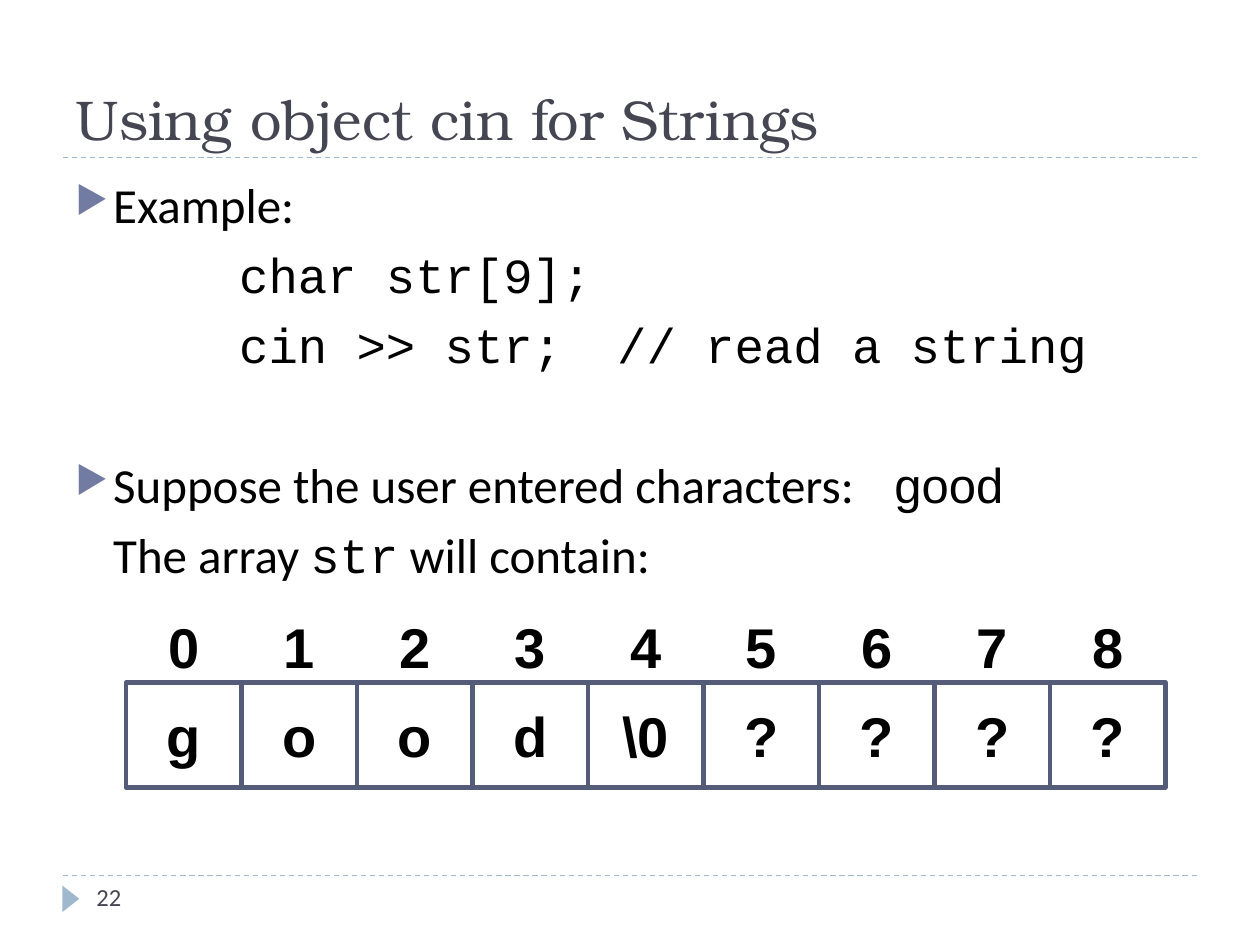
from lxml import etree
from pptx import Presentation
from pptx.dml.color import RGBColor
from pptx.enum.dml import MSO_LINE
from pptx.enum.shapes import MSO_CONNECTOR, MSO_SHAPE
from pptx.enum.text import MSO_ANCHOR, PP_ALIGN
from pptx.oxml.ns import qn
from pptx.util import Inches, Pt

DASH = MSO_LINE.DASH
STRAIGHT = MSO_CONNECTOR.STRAIGHT
RECTANGLE = MSO_SHAPE.RECTANGLE
TRIANGLE = MSO_SHAPE.ISOSCELES_TRIANGLE
TOP, MIDDLE, BOTTOM = MSO_ANCHOR.TOP, MSO_ANCHOR.MIDDLE, MSO_ANCHOR.BOTTOM
LEFT, CENTER = PP_ALIGN.LEFT, PP_ALIGN.CENTER

COLORS = {
    "text": "000000",
    "heading": "464653",
    "rule": "9FB8CD",
    "bullet": "727CA3",
    "cell": "545C79",
}
FORMATS = {
    "title": {"name": "TeX Gyre Bonum", "size": Pt(32), "color": "heading"},
    "body": {"name": "Calibri", "size": Pt(28), "color": "text"},
    "code": {"name": "Courier New", "size": Pt(28), "color": "text"},
    "input": {"name": "Arial", "size": Pt(28), "color": "text"},
    "array": {"name": "Arial", "size": Pt(32), "color": "text", "bold": True},
    "number": {"name": "Calibri", "size": Pt(14), "color": "heading"},
}
COLUMNS, ROWS = 120, 90
BODY_LINE, BODY_GAP = Pt(34), Pt(6)
BLANK_LINE_GAP = Pt(46)
TEXT_INDENT, CODE_INDENT = Inches(0.3), Inches(1.3)


class SlideBuilder:
    """Draw styled elements on a slide measured in grid columns and rows."""

    def __init__(self, presentation):
        self.column = presentation.slide_width / COLUMNS
        self.row = presentation.slide_height / ROWS
        self.slide = presentation.slides.add_slide(presentation.slide_layouts[6])

    def place(self, left, top, width, height):
        return (
            round(left * self.column),
            round(top * self.row),
            round(width * self.column),
            round(height * self.row),
        )

    def color(self, name):
        return RGBColor.from_string(COLORS[name])

    def add_text_run(self, paragraph, text, style):
        run = paragraph.add_run()
        run.text = text
        for attribute, value in FORMATS[style].items():
            if attribute == "color":
                run.font.color.rgb = self.color(value)
            else:
                setattr(run.font, attribute, value)

    def label(self, shape, text, style, anchor, align):
        frame = shape.text_frame
        frame.word_wrap = True
        frame.vertical_anchor = anchor
        paragraph = frame.paragraphs[0]
        paragraph.alignment = align
        self.add_text_run(paragraph, text, style)

    def text(self, box, text, style, anchor=TOP, align=LEFT):
        shape = self.slide.shapes.add_textbox(*self.place(*box))
        self.label(shape, text, style, anchor, align)

    def bullet(self, properties):
        color = etree.SubElement(properties, qn("a:buClr"))
        etree.SubElement(color, qn("a:srgbClr"), val=COLORS["bullet"])
        etree.SubElement(properties, qn("a:buSzPct"), val="76000")
        etree.SubElement(properties, qn("a:buChar"), char="▶")

    def body(self, box, lines):
        frame = self.slide.shapes.add_textbox(*self.place(*box)).text_frame
        frame.word_wrap = True
        for index, (indent, bulleted, gap, runs) in enumerate(lines):
            paragraph = frame.add_paragraph() if index else frame.paragraphs[0]
            paragraph.line_spacing = BODY_LINE
            paragraph.space_before = gap
            properties = paragraph._p.get_or_add_pPr()
            properties.set("marL", str(indent))
            properties.set("indent", str(-indent if bulleted else 0))
            if bulleted:
                self.bullet(properties)
            for text, style in runs:
                self.add_text_run(paragraph, text, style)

    def rule(self, left, right, row):
        start_x, y, end_x, _ = self.place(left, row, right, 0)
        line = self.slide.shapes.add_connector(STRAIGHT, start_x, y, end_x, y)
        line.line.color.rgb = self.color("rule")
        line.line.width = Pt(0.75)
        line.line.dash_style = DASH
        etree.SubElement(line._element.spPr, qn("a:effectLst"))

    def marker(self, box):
        shape = self.slide.shapes.add_shape(TRIANGLE, *self.place(*box))
        shape.shadow.inherit = False
        shape.rotation = 90
        shape.fill.solid()
        shape.fill.fore_color.rgb = self.color("rule")
        shape.line.fill.background()

    def cell(self, box, text):
        shape = self.slide.shapes.add_shape(RECTANGLE, *self.place(*box))
        shape.shadow.inherit = False
        shape.fill.background()
        shape.line.color.rgb = self.color("cell")
        shape.line.width = Pt(2.5)
        self.label(shape, text, "array", MIDDLE, CENTER)

    def array(self, left, top, width, height, values):
        for index, value in enumerate(values):
            column = left + index * width
            self.cell((column, top, width, height), value)
            self.text((column, top - 8, width, 9), str(index), "array", MIDDLE, CENTER)


def main():
    presentation = Presentation()
    presentation.slide_width = Inches(10)
    presentation.slide_height = Inches(7.5)
    builder = SlideBuilder(presentation)

    for row in (15, 83.4):
        builder.rule(6, 114, row)
    builder.marker((5.5, 84.8, 2.5, 1.6))
    builder.text((6, 2, 108, 13), "Using object cin for Strings", "title", BOTTOM)
    builder.body((6, 16, 110, 67), [
        (TEXT_INDENT, True, BODY_GAP, [("Example:", "body")]),
        (CODE_INDENT, False, BODY_GAP, [("char str[9];", "code")]),
        (CODE_INDENT, False, BODY_GAP, [("cin >> str;\t// read a string", "code")]),
        (TEXT_INDENT, True, BLANK_LINE_GAP, [
            ("Suppose the user entered characters:\t", "body"),
            ("good", "input"),
        ]),
        (TEXT_INDENT, False, BODY_GAP, [
            ("The array ", "body"),
            ("str", "code"),
            (" will contain:", "body"),
        ]),
    ])
    builder.array(12, 65, 11, 10, ["g", "o", "o", "d", "\\0", "?", "?", "?", "?"])
    builder.text((8, 83.4, 26, 4.8), "22", "number")
    presentation.save("out.pptx")


if __name__ == "__main__":
    main()
